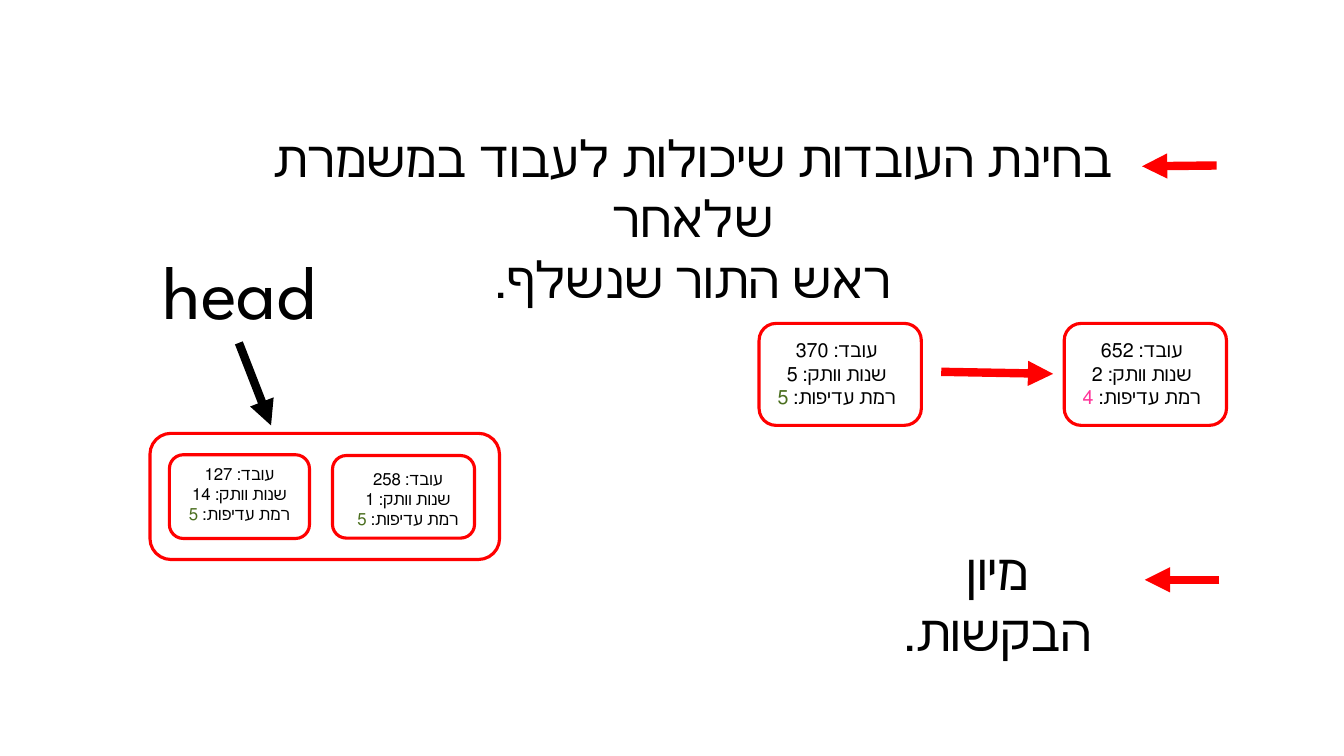
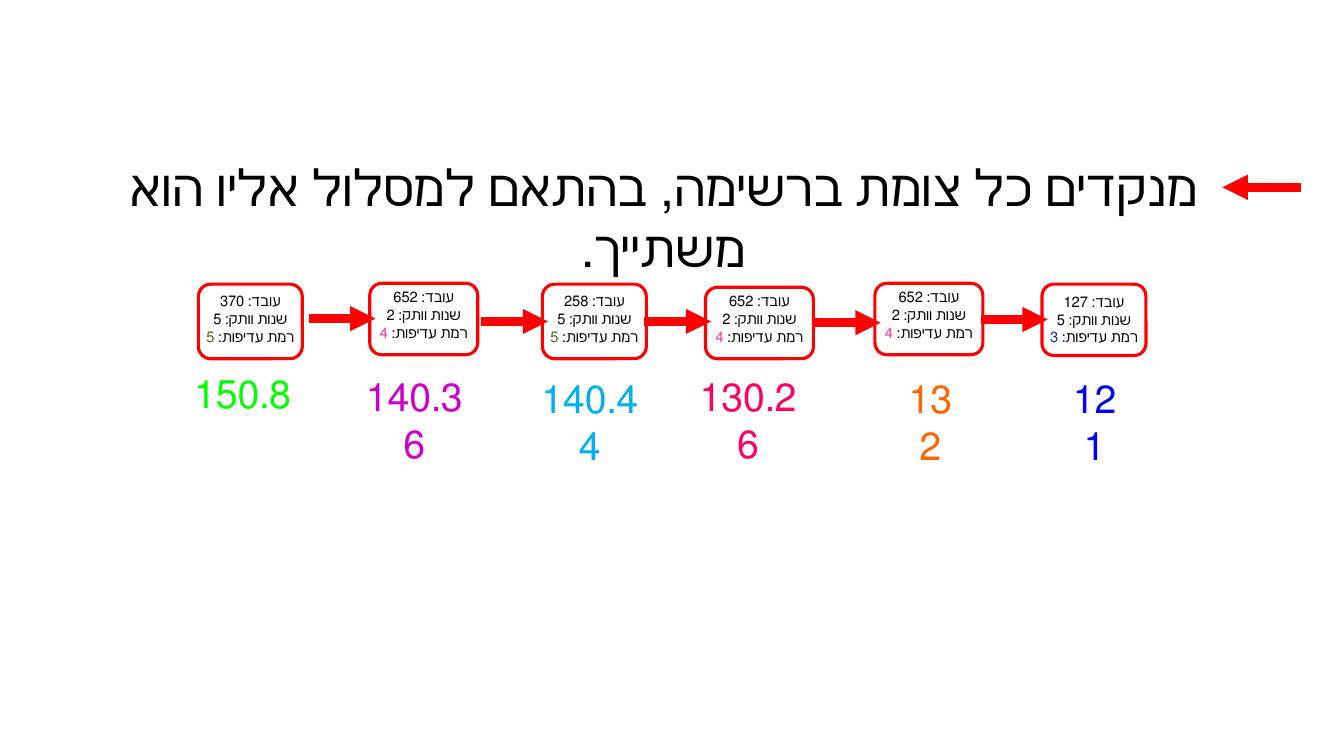
"""Build two slides that show a worker queue and its scored list."""
from lxml.etree import SubElement
from pptx import Presentation
from pptx.dml.color import RGBColor
from pptx.enum.lang import MSO_LANGUAGE_ID as LANG
from pptx.enum.shapes import MSO_CONNECTOR as LINK, MSO_SHAPE as SHAPE
from pptx.enum.text import PP_ALIGN as ALIGN
from pptx.oxml.ns import qn
from pptx.util import Cm, Pt

BLACK = RGBColor(0x00, 0x00, 0x00)
RED = RGBColor(0xFF, 0x00, 0x00)
GREEN = RGBColor(0x4A, 0x6E, 0x1E)
PINK = RGBColor(0xFF, 0x33, 0x99)
NAVY = RGBColor(0x00, 0x33, 0xCC)
LIME = RGBColor(0x00, 0xFF, 0x00)
PURPLE = RGBColor(0xCC, 0x00, 0xCC)
SKY = RGBColor(0x00, 0xB0, 0xF0)
ROSE = RGBColor(0xFF, 0x00, 0x66)
ORANGE = RGBColor(0xFF, 0x66, 0x00)
BLUE = RGBColor(0x00, 0x00, 0xFF)

BODY_FONT, CARD_FONT = "Calibri", "League Spartan"
LEVEL_COLORS = {3: NAVY, 4: PINK, 5: GREEN}
NOTE_EXTRA = 0.46
LINK_LENGTH, LINK_OVERLAP = 1.68, 0.14

QUEUE_HEADINGS = [
    (["בחינת העובדות שיכולות לעבוד במשמרת שלאחר", "ראש התור שנשלף."],
     (5.94, 3.07, 23.04, 3.33)),
    (["מיון הבקשות."], (21.82, 13.49, 6.65, 1.8)),
]
QUEUE_HEAD_FRAME = (3.78, 10.92, 8.81, 3.18)
QUEUE_CARDS = [
    ((4.27, 11.46, 3.53, 2.11), (0, 0.1), (127, 14, 5), 12),
    ((8.38, 11.48, 3.58, 2.08), (0.11, 0.2), (258, 1, 5), 12),
    ((19.13, 8.15, 4.09, 2.57), (-0.09, 0.25), (370, 5, 5), 14),
    ((26.82, 8.15, 4.09, 2.57), (-0.09, 0.25), (652, 2, 4), 14),
]
QUEUE_ARROWS = [
    ((30.66, 4.17), (28.78, 4.19), RED),
    ((6.02, 8.64), (6.83, 10.72), BLACK),
    ((30.73, 14.61), (28.85, 14.61), RED),
    ((23.72, 9.37), (26.54, 9.42), RED),
]

LIST_HEADING = (["מנקדים כל צומת ברשימה, בהתאם למסלול אליו הוא משתייך."],
                (2.64, 3.81, 28.17, 1.8))
LIST_CARDS = [
    ((5, 7.16, 2.62, 1.88), (0, 0.08), (370, 5, 5), 10.5),
    ((9.32, 7.14, 2.72, 1.8), (0, 0), (652, 2, 4), 10.5),
    ((13.67, 7.16, 2.62, 1.88), (0, 0.08), (258, 5, 5), 10.5),
    ((17.78, 7.24, 2.72, 1.8), (0, 0), (652, 2, 4), 10.5),
    ((22.05, 7.14, 2.72, 1.8), (0, 0), (652, 2, 4), 10.5),
    ((26.26, 7.16, 2.62, 1.8), (0, 0.1), (127, 5, 3), 10.5),
]
LINK_YS = [8.03, 8.1, 8.1, 8.13, 8.05]
SCORES = [
    ("150.8", (4.6, 9.19, 3.02, 1.45), LIME),
    ("140.36", (8.79, 9.25, 3.3, 1.45), PURPLE),
    ("140.44", (13.21, 9.3, 3.3, 1.45), SKY),
    ("130.26", (17.2, 9.25, 3.3, 1.45), ROSE),
    ("132", (22.43, 9.3, 2.03, 1.45), ORANGE),
    ("121", (26.57, 9.3, 2.03, 1.45), BLUE),
]


def add_text(s, paragraphs, box, size=36, font=BODY_FONT, color=BLACK,
             language=LANG.HEBREW):
    """Add centred right-to-left text; a paragraph is a string or (text, colour) runs."""
    tf = s.shapes.add_textbox(*map(Cm, box)).text_frame
    tf.word_wrap = True
    for i, runs in enumerate(paragraphs):
        p = tf.add_paragraph() if i else tf.paragraphs[0]
        p.alignment = ALIGN.CENTER
        p._p.get_or_add_pPr().set("rtl", "1")
        for text, run_color in [(runs, color)] if isinstance(runs, str) else runs:
            r = p.add_run()
            r.text = text
            r.font.size = Pt(size)
            r.font.name = font
            r.font.language_id = language
            r.font.color.rgb = run_color


def add_frame(s, box):
    """Add an unfilled rounded frame with a red outline."""
    sp = s.shapes.add_shape(SHAPE.ROUNDED_RECTANGLE, *map(Cm, box))
    sp.shadow.inherit = False
    sp.fill.background()
    sp.line.color.rgb = RED
    sp.line.width = Pt(2.25)


def add_arrow(s, start, end, color=RED):
    """Add a thick straight arrow."""
    arrow = s.shapes.add_connector(LINK.STRAIGHT, *map(Cm, start + end))
    arrow.line.color.rgb = color
    arrow.line.width = Pt(6)
    SubElement(arrow.line._get_or_add_ln(), qn("a:tailEnd"), type="triangle")
    SubElement(arrow._element.spPr, qn("a:effectLst"))


def add_card(s, box, shift, worker, size):
    """Add a framed card with a worker's number, seniority and priority."""
    left, top, width, height = box
    dx, dy = shift
    number, years, level = worker
    add_frame(s, box)
    lines = [f"עובד: {number}", f"שנות וותק: {years}",
             [("רמת עדיפות: ", BLACK), (str(level), LEVEL_COLORS[level])]]
    note = (left - NOTE_EXTRA / 2 + dx, top + dy, width + NOTE_EXTRA, height)
    add_text(s, lines, note, size=size, font=CARD_FONT)


def build_queue(s):
    """Show the head of the queue and the workers taken from it."""
    for lines, box in QUEUE_HEADINGS:
        add_text(s, lines, box)
    add_text(s, ["head"], (3.25, 6.02, 5.56, 2.57), size=54, font=CARD_FONT,
             language=LANG.ENGLISH_US)
    add_frame(s, QUEUE_HEAD_FRAME)
    for card in QUEUE_CARDS:
        add_card(s, *card)
    for arrow in QUEUE_ARROWS:
        add_arrow(s, *arrow)


def build_list(s):
    """Show the linked list with a score under each node."""
    add_arrow(s, (32.79, 4.72), (30.81, 4.72))
    add_text(s, *LIST_HEADING)
    for card in LIST_CARDS:
        add_card(s, *card)
    for (box, *_), y in zip(LIST_CARDS[1:], LINK_YS):
        tip = box[0] + LINK_OVERLAP
        add_arrow(s, (tip - LINK_LENGTH, y), (tip, y))
    for score, box, color in SCORES:
        add_text(s, [score], box, size=28, color=color)


def main():
    """Build and save the presentation."""
    prs = Presentation()
    prs.slide_width, prs.slide_height = Cm(33.87), Cm(19.05)
    for build in (build_queue, build_list):
        build(prs.slides.add_slide(prs.slide_layouts[6]))
    prs.save("out.pptx")


if __name__ == "__main__":
    main()
